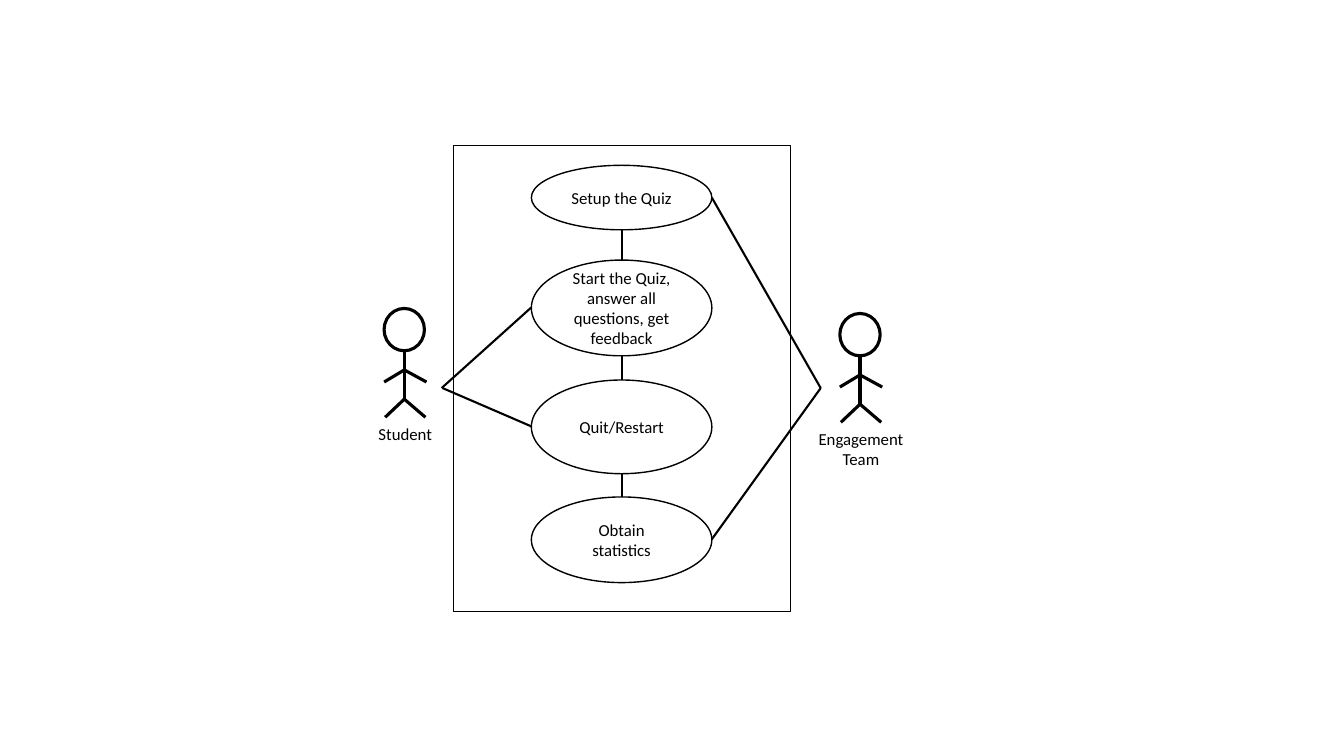
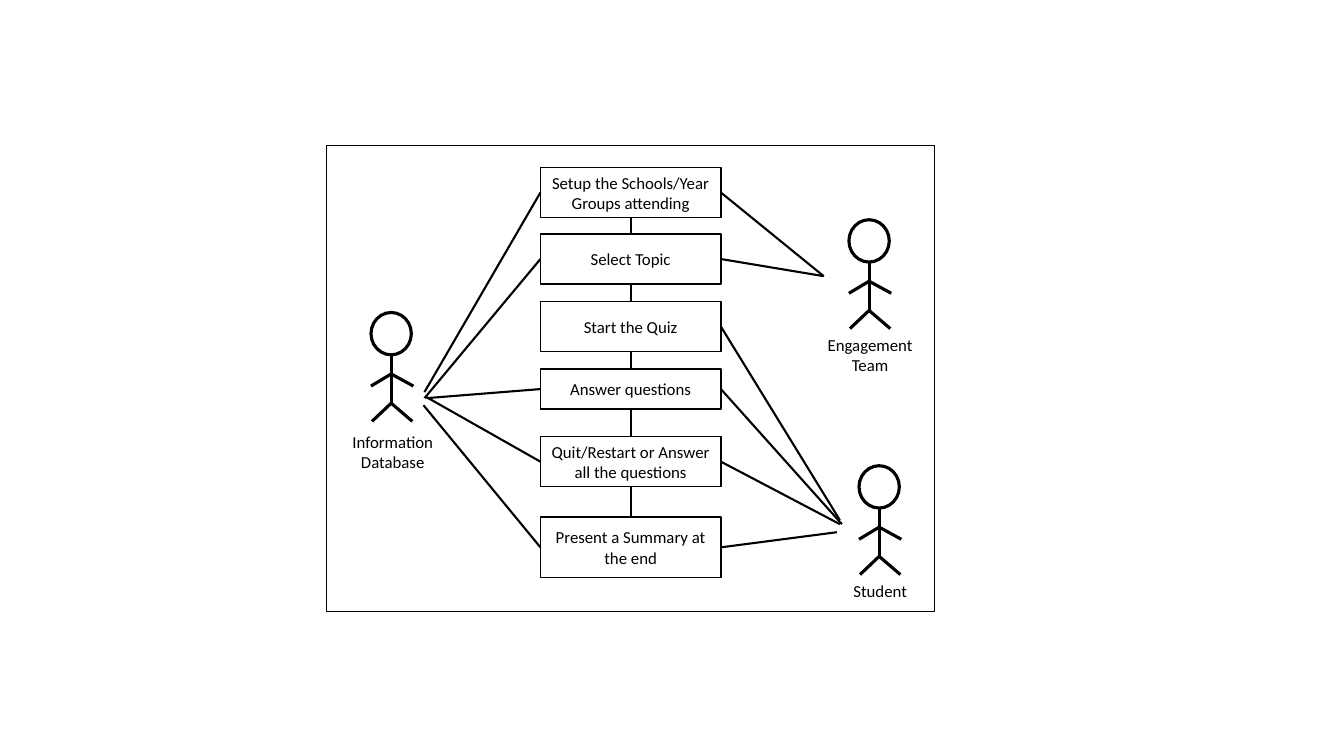
from dataclasses import dataclass
from itertools import pairwise

from lxml.etree import SubElement
from pptx import Presentation
from pptx.dml.color import RGBColor
from pptx.enum.shapes import MSO_CONNECTOR, MSO_SHAPE as Preset
from pptx.enum.text import MSO_ANCHOR as Anchor, PP_ALIGN as Align
from pptx.oxml.ns import qn
from pptx.util import Emu, Pt

EMU_PER_PX = 9144  # 100 px to the inch
TOP, LEFT, BOTTOM, RIGHT = range(4)


@dataclass(frozen=True)
class Theme:
    ink: RGBColor = RGBColor(0, 0, 0)
    paper: RGBColor = RGBColor(255, 255, 255)
    font: str = "Calibri"
    text_size: float = 12
    frame_line: float = 0.75
    node_line: float = 1
    link_line: float = 1.5
    actor_line: float = 2.25


@dataclass(frozen=True)
class Box:
    x: int
    y: int
    w: int
    h: int

    def side(self, side: int) -> tuple[int, int]:
        """Middle of one side."""
        mid_x, mid_y = self.x + (self.w + 1) // 2, self.y + self.h // 2
        return {
            TOP: (mid_x, self.y),
            LEFT: (self.x, mid_y),
            BOTTOM: (mid_x, self.y + self.h),
            RIGHT: (self.x + self.w, mid_y),
        }[side]


@dataclass(frozen=True)
class Actor:
    label: str
    x: int
    y: int
    label_w: int
    label_h: int
    label_drop: int = 109


@dataclass(frozen=True)
class Step:
    label: str
    y: int
    h: int


@dataclass(frozen=True)
class Link:
    """Line from a step's side to a point beside an actor."""
    step: int
    side: int
    x: int
    y: int


@dataclass(frozen=True)
class Diagram:
    frame: Box
    preset: Preset
    steps_x: int
    steps: list[Step]
    actors: list[Actor]
    links: list[Link]


THEME = Theme()
STEP_W = 179
HEAD_W, HEAD_H = 40, 42
# Limbs, measured from the top left of the head
LIMBS = [
    ((20, 42), (20, 91)),
    ((42, 73), (20, 61)),
    ((20, 61), (0, 73)),
    ((41, 108), (20, 90)),
    ((20, 90), (1, 108)),
]

QUIZ = Diagram(
    Box(450, 144, 334, 463), Preset.OVAL, 527,
    steps=[
        Step("Setup the Quiz", 164, 64),
        Step("Start the Quiz, answer all questions, get feedback", 258, 95),
        Step("Quit/Restart", 377, 93),
        Step("Obtain statistics", 493, 85),
    ],
    actors=[
        Actor("Student", 381, 306, 96, 36),
        Actor("Engagement Team", 833, 311, 116, 42),
    ],
    links=[
        Link(0, RIGHT, 814, 385),
        Link(3, RIGHT, 814, 385),
        Link(1, LEFT, 438, 385),
        Link(2, LEFT, 439, 385),
    ],
)

EVENT = Diagram(
    Box(324, 144, 603, 463), Preset.RECTANGLE, 536,
    steps=[
        Step("Setup the Schools/Year Groups attending", 166, 50),
        Step("Select Topic", 232, 50),
        Step("Start the Quiz", 299, 50),
        Step("Answer questions", 366, 40),
        Step("Quit/Restart or Answer all the questions", 433, 50),
        Step("Present a Summary at the end", 513, 60),
    ],
    actors=[
        Actor("Student", 852, 462, 96, 36),
        Actor("Engagement Team", 842, 218, 116, 42),
        Actor("Information Database", 368, 310, 129, 42, 113),
    ],
    links=[
        Link(0, LEFT, 421, 389),
        Link(1, LEFT, 421, 395),
        Link(3, LEFT, 423, 395),
        Link(4, LEFT, 423, 394),
        Link(5, LEFT, 420, 402),
        Link(0, RIGHT, 817, 274),
        Link(1, RIGHT, 817, 274),
        Link(2, RIGHT, 833, 516),
        Link(3, RIGHT, 835, 520),
        Link(4, RIGHT, 833, 520),
        Link(5, RIGHT, 830, 528),
    ],
)


def px(value: int) -> Emu:
    return Emu(value * EMU_PER_PX)


def place(box: Box) -> list[Emu]:
    return [px(value) for value in (box.x, box.y, box.w, box.h)]


def write(frame, text: str, anchor: Anchor) -> None:
    frame.word_wrap = True
    frame.vertical_anchor = anchor
    paragraph = frame.paragraphs[0]
    paragraph.alignment = Align.CENTER
    run = paragraph.add_run()
    run.text = text
    run.font.name = THEME.font
    run.font.size = Pt(THEME.text_size)
    run.font.color.rgb = THEME.ink


def draw_outline(shapes, preset: Preset, box: Box, width: float):
    shape = shapes.add_shape(preset, *place(box))
    shape.shadow.inherit = False
    shape.fill.solid()
    shape.fill.fore_color.rgb = THEME.paper
    shape.line.color.rgb = THEME.ink
    shape.line.width = Pt(width)
    return shape


def draw_line(shapes, start: tuple[int, int], end: tuple[int, int], width: float):
    points = [px(value) for value in (*start, *end)]
    line = shapes.add_connector(MSO_CONNECTOR.STRAIGHT, *points)
    line.line.color.rgb = THEME.ink
    line.line.width = Pt(width)
    SubElement(line.element.spPr, qn("a:effectLst"))
    return line


def draw_actor(slide, actor: Actor) -> None:
    shapes = slide.shapes.add_group_shape().shapes
    head = Box(actor.x, actor.y, HEAD_W, HEAD_H)
    draw_outline(shapes, Preset.OVAL, head, THEME.actor_line)
    for (x1, y1), (x2, y2) in LIMBS:
        draw_line(shapes, (actor.x + x1, actor.y + y1),
                  (actor.x + x2, actor.y + y2), THEME.actor_line)
    label_x = actor.x + HEAD_W // 2 + 1 - actor.label_w // 2
    label_box = Box(label_x, actor.y + actor.label_drop, actor.label_w, actor.label_h)
    label = shapes.add_textbox(*place(label_box))
    write(label.text_frame, actor.label, Anchor.TOP)


def draw_diagram(slide, diagram: Diagram) -> None:
    shapes = slide.shapes
    # System boundary and actors
    draw_outline(shapes, Preset.RECTANGLE, diagram.frame, THEME.frame_line)
    for actor in diagram.actors:
        draw_actor(slide, actor)

    # Steps
    nodes = []
    for step in diagram.steps:
        box = Box(diagram.steps_x, step.y, STEP_W, step.h)
        node = draw_outline(shapes, diagram.preset, box, THEME.node_line)
        write(node.text_frame, step.label, Anchor.MIDDLE)
        nodes.append((box, node))
    joinable = diagram.preset == Preset.RECTANGLE

    # Sequence of steps
    for (upper_box, upper), (lower_box, lower) in pairwise(nodes):
        line = draw_line(shapes, upper_box.side(BOTTOM), lower_box.side(TOP),
                         THEME.link_line)
        if joinable:
            line.begin_connect(upper, BOTTOM)
            line.end_connect(lower, TOP)

    # Steps to actors
    for link in diagram.links:
        box, node = nodes[link.step]
        line = draw_line(shapes, box.side(link.side), (link.x, link.y),
                         THEME.link_line)
        if joinable:
            line.begin_connect(node, link.side)


def main() -> None:
    deck = Presentation()
    deck.slide_width, deck.slide_height = px(1333), px(750)
    blank = deck.slide_layouts[6]
    for diagram in (QUIZ, EVENT):
        draw_diagram(deck.slides.add_slide(blank), diagram)
    deck.save("out.pptx")


if __name__ == "__main__":
    main()
